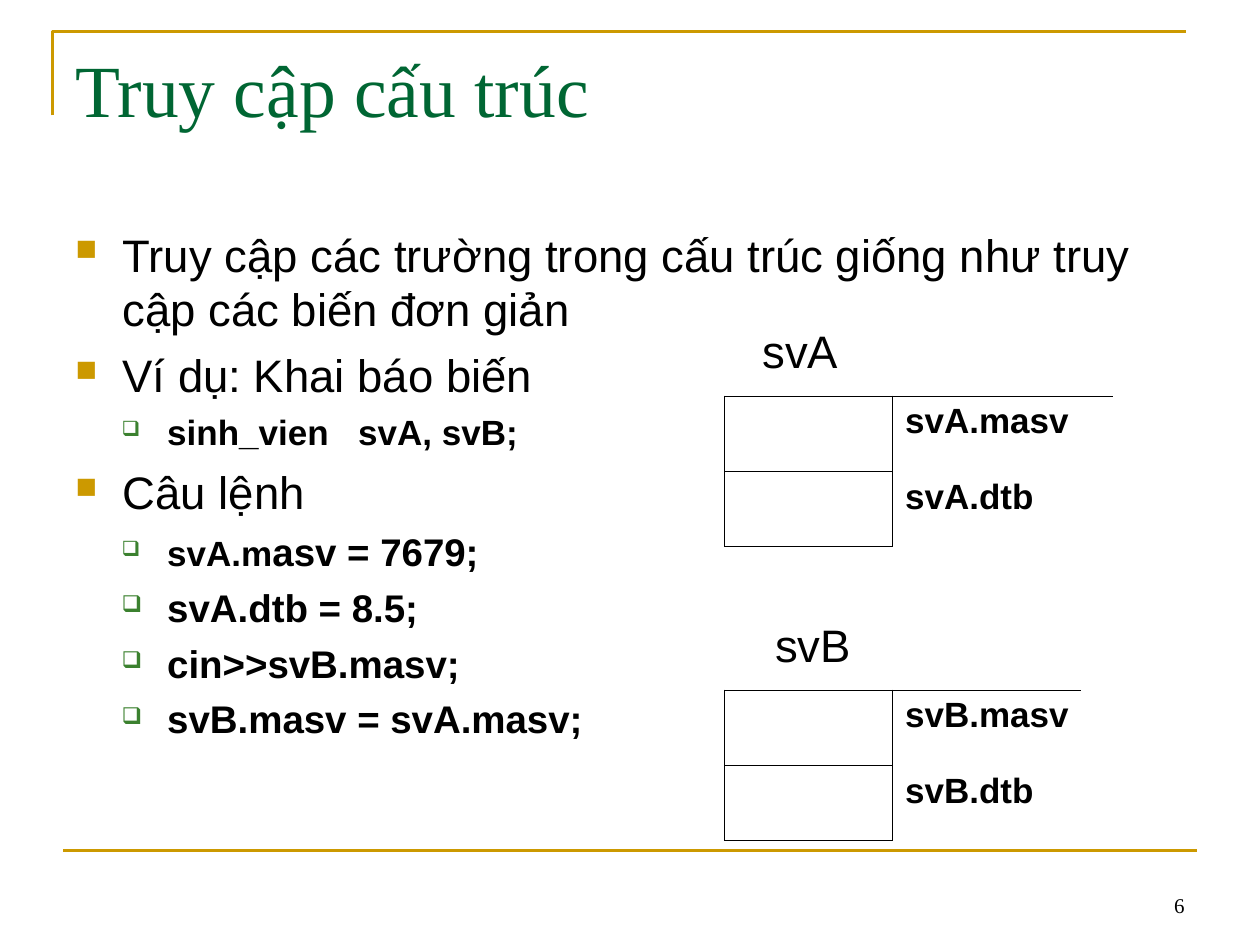
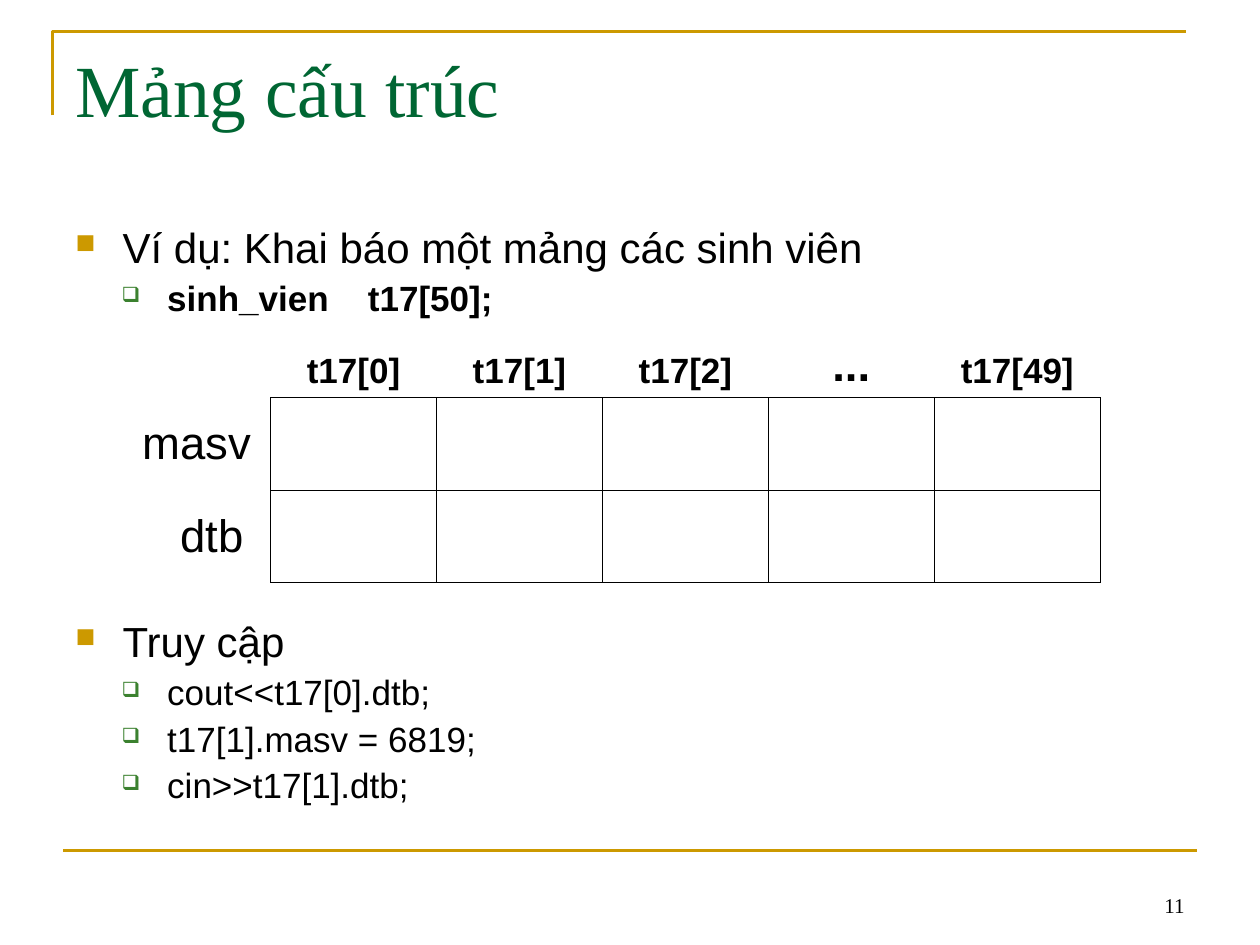
"""Two lesson slides on structures: field access and arrays of structures."""
from lxml.etree import SubElement
from pptx import Presentation
from pptx.dml.color import RGBColor
from pptx.enum.shapes import MSO_CONNECTOR
from pptx.enum.text import MSO_ANCHOR, PP_ALIGN
from pptx.oxml.ns import qn
from pptx.util import Pt

GOLD = RGBColor(0xCC, 0x99, 0x00)
GREEN = RGBColor(0x00, 0x66, 0x33)
LEAF = RGBColor(0x3B, 0x81, 0x2F)
BLACK = RGBColor(0x00, 0x00, 0x00)
SERIF, SANS = "Times New Roman", "Arial"
PLAIN = "{2D5ABB26-0587-4C30-8999-92F81FD0307C}"
EDGES = {"lnL": (0, -1), "lnR": (0, 1), "lnT": (-1, 0), "lnB": (1, 0)}
LEVELS = [("■", GOLD, 65, 27, -27), ("❑", LEAF, 60, 52.5, -26)]
LEFT, WIDE = 36, 648


def write(par, runs, form, name=SANS, color=BLACK, bold=False):
    """Fill a paragraph with (text, size, letter gap) runs and format it."""
    for key, val in form.items():
        setattr(par, key, val)
    for text, size, gap in runs:
        run = par.add_run()
        run.text = text
        look = {"name": name, "size": Pt(size), "bold": bold}
        for key, val in look.items():
            setattr(run.font, key, val)
        run.font.color.rgb = color
        if gap:
            run.font._element.set("spc", str(round(gap * 100)))


def grid(slide, place, cols, rows, boxes, labels):
    """Add a table whose lines surround only the boxed cells."""
    frame = slide.shapes.add_table(len(rows), len(cols), *map(Pt, place))
    table = frame.table
    table.first_row = table.horz_banding = False
    table._tbl.tblPr.find(qn("a:tableStyleId")).text = PLAIN
    for col, size in zip(table.columns, cols):
        col.width = Pt(size)
    for row, size in zip(table.rows, rows):
        row.height = Pt(size)
    for r in range(len(rows)):
        for c in range(len(cols)):
            cell = table.cell(r, c)
            props = cell._tc.get_or_add_tcPr()
            for edge, (down, right) in EDGES.items():
                if {(r, c), (r + down, c + right)} & boxes:
                    line = SubElement(props, qn("a:" + edge), w=str(Pt(0.45)))
                    fill = SubElement(line, qn("a:solidFill"))
                    SubElement(fill, qn("a:srgbClr"), val=str(BLACK))
            cell.fill.background()
            if (r, c) in labels:
                text, size, bold, inset, anchor, align = labels[r, c]
                cell.margin_left = Pt(inset)
                cell.vertical_anchor = anchor
                form = {"space_before": Pt(size / 4), "alignment": align}
                write(cell.text_frame.paragraphs[0], [(text, size, 0)], form, bold=bold)
    return table


PAGES = [
    ("Truy cập cấu trúc", "6", 1, [
        (0, 6.5, False, [("Truy cập các trường trong cấu trúc giống như truy cập các biến đơn giản", 26, 0)]),
        (0, 6.5, False, [("Ví dụ: Khai báo biến", 26, 0)]),
        (1, 5, True, [("sinh_vien", 20, 0), (" ", 20, 11.1), ("svA, svB;", 20, 0)]),
        (0, 6.5, False, [("Câu lệnh", 26, 0)]),
        (1, 5.5, True, [("svA.m", 20, 0), ("asv = 7679;", 22, 0)]),
        (1, 5.5, True, [("svA.dtb = 8.5;", 22, 0)]),
        (1, 5.5, True, [("cin>>svB.masv;", 22, 0)]),
        (1, 5.5, True, [("svB.masv = svA.masv;", 22, 0)]),
    ]),
    ("Mảng cấu trúc", "11", 0.9, [
        (0, 6, False, [("Ví dụ: Khai báo một mảng các sinh viên", 24, 0)]),
        (1, 5, True, [("sinh_vien", 20, 0), (" ", 20, 16.7), ("t17[50];", 20, 0)]),
        (0, 173, False, [("Truy cập", 24, 0)]),
        (1, 5, False, [("cout<<t17[0].dtb;", 20, 0)]),
        (1, 5, False, [("t17[1].masv = 6819;", 20, 0)]),
        (1, 5, False, [("cin>>t17[1].dtb;", 20, 0)]),
    ]),
]

deck = Presentation()
deck.slide_width, deck.slide_height = Pt(720), Pt(540)
slides = []
for title, page, space, items in PAGES:
    slide = deck.slides.add_slide(deck.slide_layouts[6])
    slides.append(slide)
    shapes = slide.shapes

    pen = shapes.build_freeform(Pt(30), Pt(66))
    pen.add_line_segments([(Pt(30), Pt(18)), (Pt(678), Pt(18))], close=False)
    frame = pen.convert_to_shape()
    frame.shadow.inherit = False
    frame.fill.background()
    rule = shapes.add_connector(MSO_CONNECTOR.STRAIGHT, Pt(LEFT), Pt(486), Pt(LEFT + WIDE), Pt(486))
    SubElement(rule._element.spPr, qn("a:effectLst"))
    for line in (frame.line, rule.line):
        line.color.rgb = GOLD
        line.width = Pt(1.5)

    texts = []
    for place in ((LEFT, 21.6, WIDE, 90), (LEFT, 126, 654, 348), (516, 492, 168, 36)):
        text = shapes.add_textbox(*map(Pt, place)).text_frame
        text.word_wrap = True
        texts.append(text)
    head, body, foot = texts
    write(head.paragraphs[0], [(title, 42, 0)], {}, SERIF, GREEN)
    foot.vertical_anchor = MSO_ANCHOR.BOTTOM
    write(foot.paragraphs[0], [(page, 12, 0)], {"alignment": PP_ALIGN.RIGHT}, SERIF)

    for i, (level, before, bold, runs) in enumerate(items):
        par = body.add_paragraph() if i else body.paragraphs[0]
        form = {"level": level, "space_before": Pt(before), "line_spacing": float(space)}
        write(par, runs, form, bold=bold)
        mark, color, scale, left, hang = LEVELS[level]
        props = par._p.get_or_add_pPr()
        props.set("marL", str(Pt(left)))
        props.set("indent", str(Pt(hang)))
        SubElement(SubElement(props, qn("a:buClr")), qn("a:srgbClr"), val=str(color))
        SubElement(props, qn("a:buSzPct"), val=str(scale * 1000))
        SubElement(props, qn("a:buChar"), char=mark)

first, second = slides
TOP, MID, BASE = MSO_ANCHOR.TOP, MSO_ANCHOR.MIDDLE, MSO_ANCHOR.BOTTOM
START, CENTER = PP_ALIGN.LEFT, PP_ALIGN.CENTER
for name, top, side, inset in (("svA", 183.3, 126, 21.6), ("svB", 351.3, 108, 28.9)):
    labels = {(0, 0): (name, 26, False, inset, TOP, START)}
    for r, field in enumerate(("masv", "dtb"), 1):
        labels[r, 1] = (f"{name}.{field}", 20, True, 7.2, TOP, START)
    table = grid(first, (414, top, 96 + side, 129), [96, side], [43] * 3, {(1, 0), (2, 0)}, labels)
    table.cell(0, 0).merge(table.cell(0, 1))

labels = {
    (1, 0): ("masv", 26, False, 21.6, MID, START),
    (2, 0): ("dtb", 26, False, 43.3, MID, START),
}
for c, name in enumerate(("t17[0]", "t17[1]", "t17[2]", "...", "t17[49]"), 1):
    size = 26 if name == "..." else 20
    labels[0, c] = (name, size, True, 7.2, BASE, CENTER)
boxes = {(r, c) for r in (1, 2) for c in range(1, 6)}
grid(second, (59.8, 174.3, 569, 158.7), [94.83] * 6, [52.9] * 3, boxes, labels)

deck.save("out.pptx")
